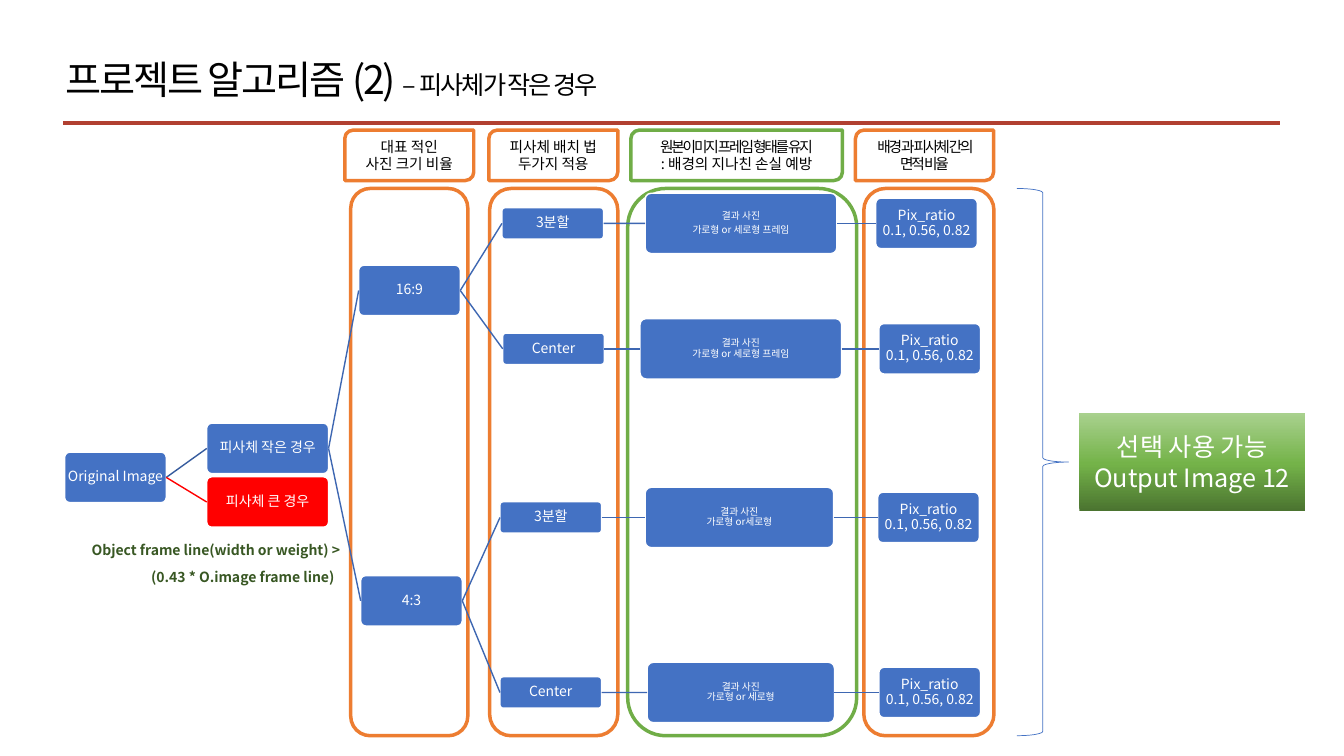
from copy import deepcopy

from lxml import etree
from pptx import Presentation
from pptx import util as u
from pptx.dml.color import RGBColor
from pptx.enum import shapes, text
from pptx.oxml.ns import qn

COLORS = {
    "white": "FFFFFF", "black": "000000", "blue": "4472C4", "link": "3E67B2",
    "first_link": "365B9D", "red": "FF0000", "orange": "ED7D31",
    "green": "70AD47", "rule": "B14031", "note": "385723",
}
OUTPUT_GRADIENT = [(0, "4B7430"), (0.48, "74B349"), (1, "A9D18E")]
FONT = "Noto Sans CJK KR"
SHAPE = shapes.MSO_SHAPE
TOP, MIDDLE = text.MSO_ANCHOR.TOP, text.MSO_ANCHOR.MIDDLE
RIGHT_SIDE, LEFT_SIDE = 3, 1


def rgb(name):
    return RGBColor.from_string(COLORS[name])


def add_run(paragraph, content, size, color, bold=False, spacing=0):
    run = paragraph.add_run()
    run.text = content
    run.font.size, run.font.bold = u.Pt(size), bold
    run.font.color.rgb = rgb(color)
    run.font.name = FONT
    properties = run.font._element
    latin = properties.find(qn("a:latin"))
    east_asian = etree.Element(qn("a:ea"), typeface=FONT)
    latin.addnext(east_asian)
    if spacing:
        properties.set("spc", str(int(spacing * 100)))


def write(frame, *paragraphs, align="CENTER", anchor=MIDDLE, inset=None,
          line_spacing=None, gap=0, **run_format):
    """Each paragraph is a string or a list of (string, run format) pieces."""
    frame.word_wrap = True
    frame.vertical_anchor = anchor
    if inset is not None:
        frame.margin_left = frame.margin_right = u.Cm(inset)
        frame.margin_top = frame.margin_bottom = u.Cm(inset)
    for index, pieces in enumerate(paragraphs):
        paragraph = frame.add_paragraph() if index else frame.paragraphs[0]
        paragraph.alignment = getattr(text.PP_ALIGN, align)
        paragraph.line_spacing = line_spacing
        if gap:
            paragraph.space_after = u.Pt(gap)
        if isinstance(pieces, str):
            pieces = [(pieces, {})]
        for content, changes in pieces:
            for number, line in enumerate(content.split("\n")):
                if number:
                    paragraph.add_line_break()
                if line:
                    add_run(paragraph, line, **{**run_format, **changes})


class FlowSlide:
    def __init__(self, slide):
        self.slide = slide

    def shape(self, kind, left, top, width, height, fill=None, line=None, weight=1):
        shape = self.slide.shapes.add_shape(
            kind, u.Cm(left), u.Cm(top), u.Cm(width), u.Cm(height))
        shape.shadow.inherit = False
        if fill:
            shape.fill.solid()
            shape.fill.fore_color.rgb = rgb(fill)
        else:
            shape.fill.background()
        if line:
            shape.line.color.rgb = rgb(line)
            shape.line.width = u.Pt(weight)
        else:
            shape.line.fill.background()
        return shape

    def node(self, left, center, *paragraphs, width=2.56, height=1.27,
             fill="blue", size=10, gap=0):
        shape = self.shape(SHAPE.ROUNDED_RECTANGLE, left, center - height / 2,
                           width, height, fill, "white")
        shape.adjustments[0] = 0.1
        write(shape.text_frame, *paragraphs, inset=0.03, line_spacing=0.9,
              gap=gap, size=size, color="white")
        return shape

    def label(self, left, top, width, height, content, **style):
        box = self.slide.shapes.add_textbox(
            u.Cm(left), u.Cm(top), u.Cm(width), u.Cm(height))
        write(box.text_frame, content, align="LEFT", anchor=TOP, **style)

    def line(self, start=(0, 0), end=(0, 0), color="link", weight=1):
        points = [u.Cm(value) for value in (*start, *end)]
        connector = self.slide.shapes.add_connector(
            shapes.MSO_CONNECTOR.STRAIGHT, *points)
        connector.line.color.rgb = rgb(color)
        connector.line.width = u.Pt(weight)
        etree.SubElement(connector._element.spPr, qn("a:effectLst"))
        return connector

    def link(self, source, target, color="link"):
        connector = self.line(color=color)
        connector.begin_connect(source, RIGHT_SIDE)
        connector.end_connect(target, LEFT_SIDE)

    def gradient(self, shape, stops):
        shape.fill.gradient()
        shape.fill.gradient_angle = 90
        stop_list = shape._element.spPr.find(".//" + qn("a:gsLst"))
        while len(stop_list) < len(stops):
            stop_list.append(deepcopy(stop_list[-1]))
        for stop, (position, color) in zip(shape.fill.gradient_stops, stops):
            stop.position = position
            stop.color.rgb = RGBColor.from_string(color)


def main():
    presentation = Presentation()
    presentation.slide_width, presentation.slide_height = u.Cm(33.87), u.Cm(19.05)
    page = FlowSlide(presentation.slides.add_slide(presentation.slide_layouts[6]))

    # Column frames
    frame_top, frame_height = 4.75, 13.79
    for left, width, color in [(8.84, 2.95, "orange"), (12.34, 3.23, "orange"),
                               (15.82, 5.77, "green"), (21.77, 3.28, "orange")]:
        page.shape(SHAPE.ROUNDED_RECTANGLE, left, frame_top, width, frame_height,
                   "white", color, 2.5)

    # Title and rule
    page.label(1.4, 1.27, 27.1, 1.45,
               [("프로젝트 알고리즘 (2) ", {}), ("– 피사체가 작은 경우", {"size": 18})],
               size=28, color="black", spacing=-1.5)
    page.line((1.6, 3.1), (32.26, 3.1), "rule", 3)

    # Source image and its two cases
    source = page.node(1.63, 12.03, "Original Image")
    small = page.node(5.21, 11.3, "피사체 작은 경우", width=3.07)
    large = page.node(5.21, 12.65, "피사체 큰 경우", width=3.07, fill="red")
    page.link(source, small, "first_link")
    page.link(source, large, "red")

    # Ratios, each with two placements: left edges, row centre, result width
    full_frame, short_frame = "가로형 or 세로형 프레임", "가로형 or 세로형"
    photo = "결과 사진"
    branches = [
        ("16:9", 9.04, 7.32, [
            ("3분할", 5.63, 12.65, 16.26, 4.83, 22.07, [photo, full_frame]),
            ("Center", 8.79, 12.67, 16.13, 5.08, 22.15, [f"{photo}\n{full_frame}"])]),
        ("4:3", 9.09, 15.14, [
            ("3분할", 13.04, 12.6, 16.26, 4.75, 22.12, [f"{photo}\n가로형 or세로형"]),
            ("Center", 17.45, 12.6, 16.31, 4.72, 22.15, [f"{photo}\n{short_frame}"])]),
    ]
    for ratio_name, ratio_left, ratio_center, rows in branches:
        ratio = page.node(ratio_left, ratio_center, ratio_name)
        page.link(small, ratio)
        for name, center, left, result_left, result_width, pix_left, lines in rows:
            placement = page.node(left, center, name, height=0.79)
            result = page.node(result_left, center, *lines, width=result_width,
                               height=1.52, size=7, gap=2.45)
            pix_ratio = page.node(pix_left, center, "Pix_ratio\n0.1, 0.56, 0.82")
            page.link(ratio, placement)
            page.link(placement, result)
            page.link(result, pix_ratio)

    # Brace and output
    page.shape(SHAPE.RIGHT_BRACE, 25.63, frame_top, 1.3, frame_height,
               line="blue", weight=0.5)
    output = page.shape(SHAPE.RECTANGLE, 27.2, 10.41, 5.69, 2.46)
    page.gradient(output, OUTPUT_GRADIENT)
    write(output.text_frame, "선택 사용 가능", "Output Image 12", size=18, color="white")

    # Condition for a large subject
    note = {"size": 10, "color": "note", "bold": True}
    page.label(2.06, 13.51, 7.01, 0.69, "Object frame line(width or weight) >", **note)
    page.label(3.56, 14.2, 5.13, 0.69, "(0.43 * O.image frame line)", **note)

    # Column headers
    tight = {"spacing": -1.5}
    headers = [
        (8.69, 3.25, "orange", ["대표 적인", "사진 크기 비율"]),
        (12.32, 3.25, "orange", ["피사체 배치 법\n두가지 적용"]),
        (15.9, 5.33, "green", [[("원본이미지 프레임 형태를 유지\n", tight),
                                (": 배경의 지나친 손실 예방", {})]]),
        (21.56, 3.48, "orange", [[("배경 과 피사체 간의 면적 비율", tight)]]),
    ]
    for left, width, color, paragraphs in headers:
        header = page.shape(SHAPE.ROUND_2_DIAG_RECTANGLE, left, 3.28, width, 1.27,
                            "white", color, 2.5)
        write(header.text_frame, *paragraphs, anchor=TOP, size=10.5, color="black")

    presentation.save("out.pptx")


if __name__ == "__main__":
    main()
